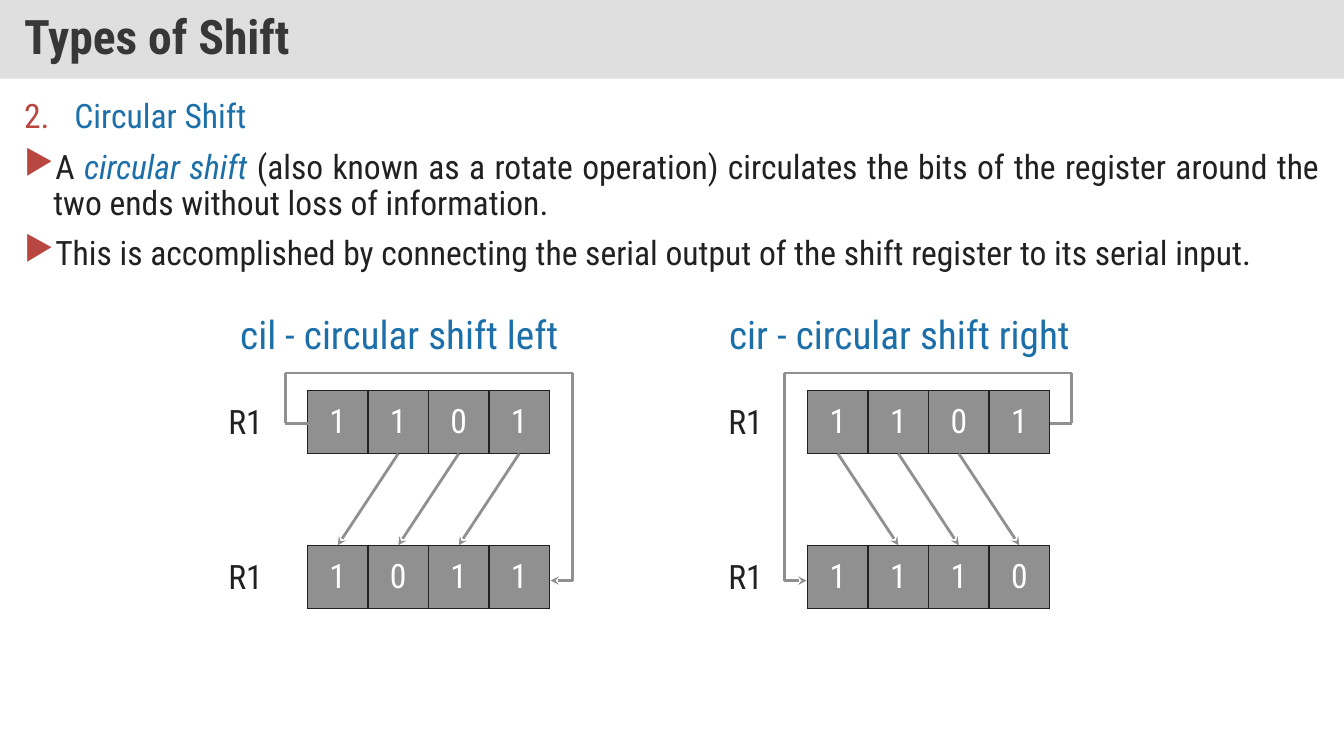
from itertools import pairwise

from lxml.etree import SubElement
from pptx import Presentation
from pptx.dml.color import RGBColor
from pptx.enum.shapes import MSO_CONNECTOR, MSO_SHAPE
from pptx.enum.text import MSO_ANCHOR, MSO_AUTO_SIZE, PP_ALIGN
from pptx.oxml.ns import qn
from pptx.util import Inches, Pt

FONT = "Roboto Condensed"
COLORS = {
    "band": "C0C0C0", "title": "373737", "text": "212121", "accent": "1D6FA9",
    "bullet": "B84742", "cell": "909090", "white": "FFFFFF",
}
SLIDE_WIDTH, SLIDE_HEIGHT = 13.33, 7.5
CELL_WIDTH, CELL_HEIGHT = 0.6, 0.63
ROW_STEP = 1.54


def color(name):
    return RGBColor.from_string(COLORS[name])


def style(font, size, name):
    font.name, font.size = FONT, Pt(size)
    font.color.rgb = color(name)


def add_title(slide, left, top, width, height, text):
    band = slide.shapes.add_shape(
        MSO_SHAPE.RECTANGLE, *map(Inches, (left, top, width, height)))
    band.shadow.inherit = False
    band.fill.solid()
    band.fill.fore_color.rgb = color("band")
    fill_color = band.fill._xPr.find(qn("a:solidFill"))[0]
    SubElement(fill_color, qn("a:alpha"), val="50000")
    band.line.fill.background()
    frame = band.text_frame
    frame.word_wrap = True
    frame.vertical_anchor = MSO_ANCHOR.MIDDLE
    frame.margin_left = frame.margin_right = Inches(0.24)
    frame.margin_top = frame.margin_bottom = Inches(0.12)
    frame.text = text
    paragraph = frame.paragraphs[0]
    paragraph.alignment = PP_ALIGN.LEFT
    paragraph.line_spacing = 0.9
    style(paragraph.runs[0].font, 34, "title")
    paragraph.runs[0].font.bold = True


def add_bullet(paragraph, indent, tag, **attributes):
    properties = paragraph._p.get_or_add_pPr()
    properties.set("marL", str(Inches(indent)))
    properties.set("indent", str(-Inches(indent)))
    bullet_color = SubElement(properties, qn("a:buClr"))
    SubElement(bullet_color, qn("a:srgbClr"), val=COLORS["bullet"])
    SubElement(properties, qn(tag), **attributes)


def add_body(slide, left, top, width, height, items):
    frame = slide.shapes.add_textbox(
        *map(Inches, (left, top, width, height))).text_frame
    frame.word_wrap = True
    for index, runs in enumerate(items):
        paragraph = frame.add_paragraph() if index else frame.paragraphs[0]
        if index:
            add_bullet(paragraph, 0.29, "a:buChar", char="▶")
            paragraph.space_before = Pt(10)
        else:
            add_bullet(paragraph, 0.5, "a:buAutoNum", type="arabicPeriod", startAt="2")
        paragraph.alignment = PP_ALIGN.JUSTIFY
        paragraph.line_spacing = 0.9
        for text, name, italic in runs:
            run = paragraph.add_run()
            run.text = text
            style(run.font, 24, name)
            run.font.italic = italic


def add_label(slide, left, top, width, height, text, size, name):
    frame = slide.shapes.add_textbox(
        *map(Inches, (left, top, width, height))).text_frame
    frame.word_wrap = False
    frame.auto_size = MSO_AUTO_SIZE.SHAPE_TO_FIT_TEXT
    frame.text = text
    paragraph = frame.paragraphs[0]
    paragraph.alignment = PP_ALIGN.CENTER
    style(paragraph.runs[0].font, size, name)


def add_cells(slide, left, top, bits):
    table = slide.shapes.add_table(
        1, len(bits), Inches(left), Inches(top),
        Inches(CELL_WIDTH * len(bits)), Inches(CELL_HEIGHT)).table
    table.first_row = table.horz_banding = False
    for cell, bit in zip(table.iter_cells(), bits):
        properties = cell._tc.get_or_add_tcPr()
        for side in ("a:lnL", "a:lnR", "a:lnT", "a:lnB"):
            border = SubElement(properties, qn(side), w=str(Pt(1)))
            border_fill = SubElement(border, qn("a:solidFill"))
            SubElement(border_fill, qn("a:srgbClr"), val=COLORS["text"])
        cell.fill.solid()
        cell.fill.fore_color.rgb = color("cell")
        cell.vertical_anchor = MSO_ANCHOR.MIDDLE
        cell.text = bit
        paragraph = cell.text_frame.paragraphs[0]
        paragraph.alignment = PP_ALIGN.CENTER
        style(paragraph.runs[0].font, 24, "white")


def add_line(slide, start, end, arrow=False):
    line = slide.shapes.add_connector(
        MSO_CONNECTOR.STRAIGHT, *map(Inches, (*start, *end)))
    line.line.color.rgb = color("cell")
    line.line.width = Pt(2)
    if arrow:
        SubElement(line.line._get_or_add_ln(), qn("a:tailEnd"), type="stealth")
    SubElement(line._element.spPr, qn("a:effectLst"))


def add_shift_diagram(slide, left, top, heading, before, after, mirrored):
    register_left, register_top = left + 0.89, top + 0.84
    register_width = CELL_WIDTH * len(before)

    def point(x, y):
        offset = register_width - x if mirrored else x
        return register_left + offset, register_top + y

    add_label(slide, left - 0.05, top, 3.7, 0.57, heading, 28, "accent")
    for row in range(2):
        add_label(slide, left, top + 0.9 + row * ROW_STEP, 0.55, 0.5, "R1", 24, "text")

    add_cells(slide, register_left, register_top, before)
    for column, bit in enumerate(after):
        add_cells(slide, register_left + column * CELL_WIDTH,
                  register_top + ROW_STEP, bit)

    for column in range(len(before) - 1):
        center = (column + 0.5) * CELL_WIDTH
        add_line(slide, point(center + CELL_WIDTH, CELL_HEIGHT),
                 point(center, ROW_STEP), arrow=True)

    near, far = -0.22, register_width + 0.23
    loop = [(0, 0.33), (near, 0.33), (near, -0.17), (far, -0.17),
            (far, 1.89), (register_width + 0.01, 1.89)]
    for start, end in pairwise(loop):
        add_line(slide, point(*start), point(*end), arrow=end == loop[-1])


def main():
    presentation = Presentation()
    presentation.slide_width = Inches(SLIDE_WIDTH)
    presentation.slide_height = Inches(SLIDE_HEIGHT)
    slide = presentation.slides.add_slide(presentation.slide_layouts[6])
    add_title(slide, 0, 0, SLIDE_WIDTH, 0.78, "Types of Shift")
    add_body(slide, 0.14, 0.94, 13.05, 1.91, [
        [("Circular Shift", "accent", False)],
        [("A ", "text", False),
         ("circular shift", "accent", True),
         (" (also known as a rotate operation) circulates the bits of the register "
          "around the two ends without loss of information.", "text", False)],
        [("This is accomplished by connecting the serial output of the shift "
          "register to its serial input.", "text", False)],
    ])
    add_shift_diagram(slide, 2.16, 3.03, "cil - circular shift left",
                      "1101", "1011", mirrored=False)
    add_shift_diagram(slide, 7.12, 3.03, "cir - circular shift right",
                      "1101", "1110", mirrored=True)
    presentation.save("out.pptx")


if __name__ == "__main__":
    main()
